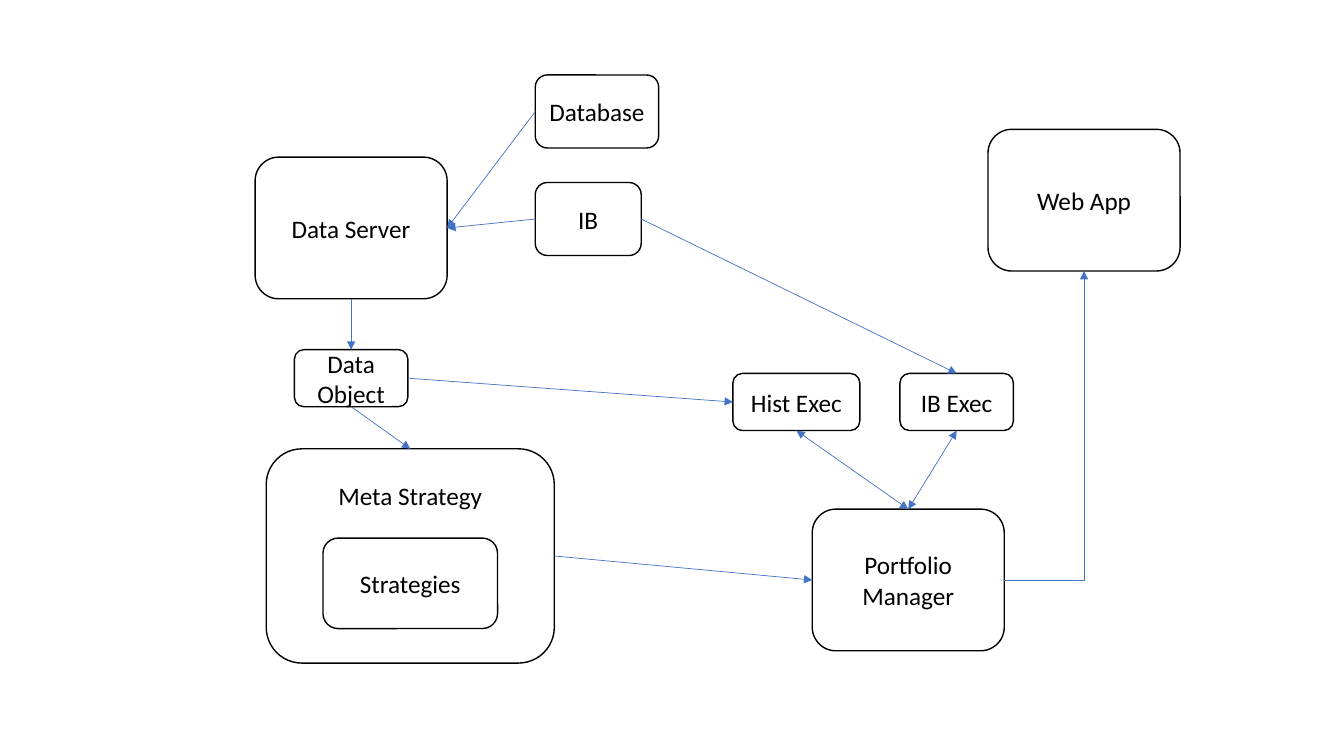
from pptx import Presentation
from pptx.dml.color import RGBColor
from pptx.enum.shapes import MSO_CONNECTOR, MSO_SHAPE
from pptx.enum.text import MSO_ANCHOR, PP_ALIGN
from pptx.oxml.ns import qn
from pptx.util import Cm, Pt
from lxml import etree

ROUNDED = MSO_SHAPE.ROUNDED_RECTANGLE
STRAIGHT, ELBOW = MSO_CONNECTOR.STRAIGHT, MSO_CONNECTOR.ELBOW
MIDDLE, TOP_ANCHOR = MSO_ANCHOR.MIDDLE, MSO_ANCHOR.TOP
CENTER = PP_ALIGN.CENTER
TOP, LEFT, BOTTOM, RIGHT = range(4)  # connection sites of a box
BLACK, WHITE, BLUE = "000000", "FFFFFF", "4472C4"


def color(hex_text):
    """Turn a hex string into a colour."""
    return RGBColor.from_string(hex_text)


deck = Presentation()
deck.slide_width, deck.slide_height = Cm(33.87), Cm(19.05)
page = deck.slides.add_slide(deck.slide_layouts[6])

# Boxes: label, left, top, width, height in centimetres
LARGE, SMALL = (4.84, 3.57), (2.86, 1.44)
components = [
    ("Data Server", 6.43, 3.96, *LARGE),
    ("Meta Strategy", 6.71, 11.31, 7.26, 5.4),
    ("Portfolio Manager", 20.47, 12.83, *LARGE),
    ("Data Object", 7.42, 8.81, *SMALL),
    ("Strategies", 8.14, 13.56, 4.4, 2.28),
    ("Database", 13.49, 1.89, 3.11, 1.84),
    ("IB", 13.49, 4.6, 2.67, 1.84),
    ("Hist Exec", 18.47, 9.41, 3.2, 1.44),
    ("IB Exec", 22.68, 9.41, *SMALL),
    ("Web App", 24.9, 3.26, *LARGE),
]
boxes = {}
for label, *place in components:
    box = page.shapes.add_shape(ROUNDED, *map(Cm, place))
    box.shadow.inherit = False
    box.fill.solid()
    box.fill.fore_color.rgb = color(WHITE)
    box.line.color.rgb = color(BLACK)
    box.line.width = Pt(1)
    frame = box.text_frame
    frame.word_wrap = True
    frame.vertical_anchor = MIDDLE
    para = frame.paragraphs[0]
    para.alignment = CENTER
    span = para.add_run()
    span.text = label
    span.font.name = "Calibri"
    span.font.size = Pt(18)
    span.font.color.rgb = color(BLACK)
    boxes[label] = box

# The Meta Strategy label sits above the nested Strategies box
meta_frame = boxes["Meta Strategy"].text_frame
meta_frame.vertical_anchor = TOP_ANCHOR
meta_frame.margin_top = Cm(0.54)

# Arrows: source, its site, target, its site, arrowheads, kind
ONE_WAY, TWO_WAY = ("a:tailEnd",), ("a:headEnd", "a:tailEnd")
flows = [
    ("Data Server", BOTTOM, "Data Object", TOP, ONE_WAY, STRAIGHT),
    ("Data Object", BOTTOM, "Meta Strategy", TOP, ONE_WAY, STRAIGHT),
    ("Meta Strategy", RIGHT, "Portfolio Manager", LEFT, ONE_WAY, STRAIGHT),
    ("Database", LEFT, "Data Server", RIGHT, ONE_WAY, STRAIGHT),
    ("IB", LEFT, "Data Server", RIGHT, ONE_WAY, STRAIGHT),
    ("Data Object", RIGHT, "Hist Exec", LEFT, ONE_WAY, STRAIGHT),
    ("IB", RIGHT, "IB Exec", TOP, ONE_WAY, STRAIGHT),
    ("Hist Exec", BOTTOM, "Portfolio Manager", TOP, TWO_WAY, STRAIGHT),
    ("IB Exec", BOTTOM, "Portfolio Manager", TOP, TWO_WAY, STRAIGHT),
    ("Portfolio Manager", RIGHT, "Web App", BOTTOM, ONE_WAY, ELBOW),
]
for source, source_site, target, target_site, heads, kind in flows:
    arrow = page.shapes.add_connector(kind, 0, 0, 0, 0)
    arrow.begin_connect(boxes[source], source_site)
    arrow.end_connect(boxes[target], target_site)
    arrow.line.color.rgb = color(BLUE)
    arrow.line.width = Pt(0.5)
    properties = arrow.element.spPr
    if kind == ELBOW:  # a single corner instead of two
        properties.find(qn("a:prstGeom")).set("prst", "bentConnector2")
    outline = properties.find(qn("a:ln"))
    for head in heads:
        etree.SubElement(outline, qn(head), type="triangle")
    etree.SubElement(properties, qn("a:effectLst"))

deck.save("out.pptx")
